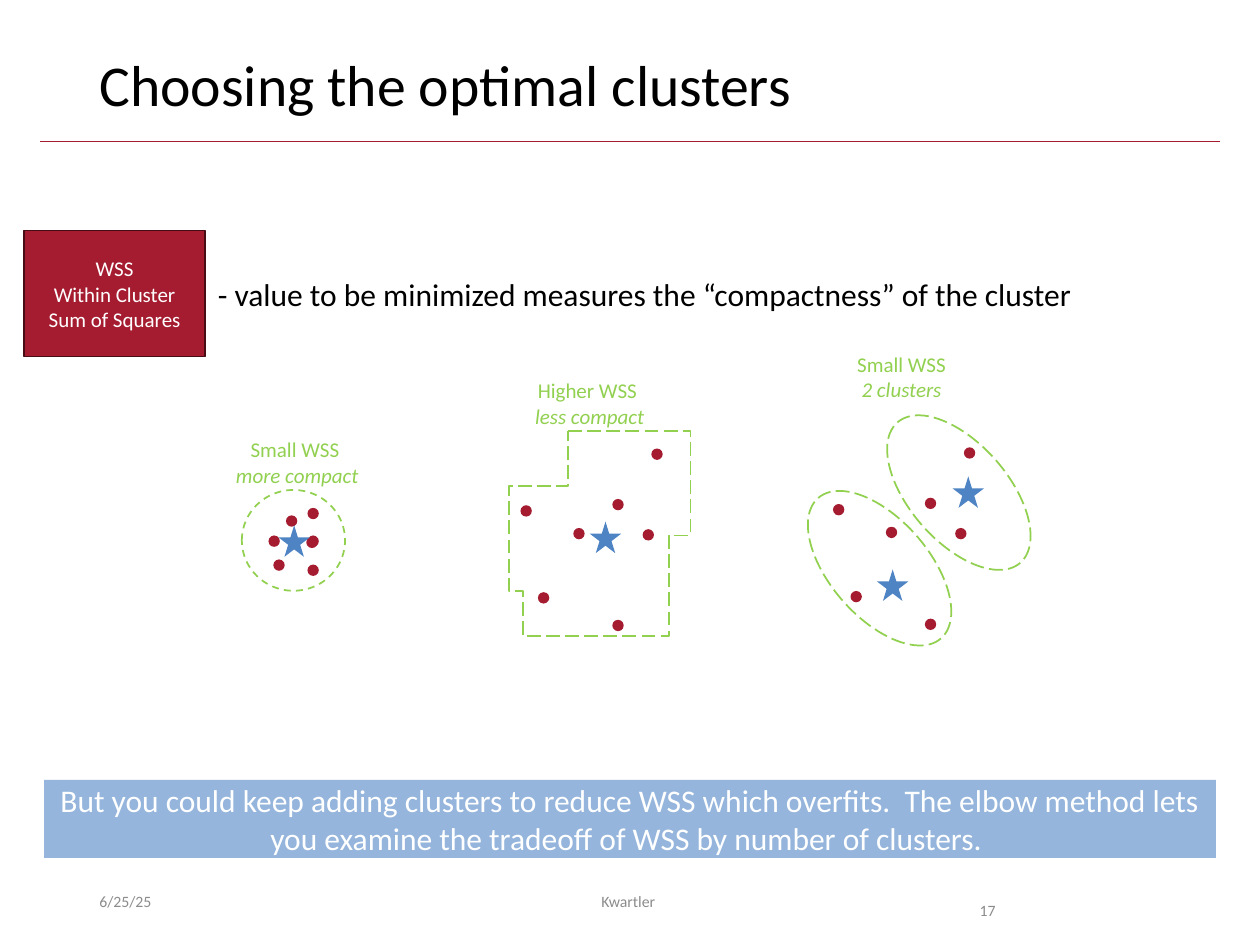
from pptx import Presentation
from pptx.dml.color import RGBColor
from pptx.enum.dml import MSO_LINE
from pptx.enum.shapes import MSO_CONNECTOR, MSO_SHAPE
from pptx.enum.text import MSO_ANCHOR, PP_ALIGN
from pptx.oxml.ns import qn
from pptx.util import Pt
from lxml.etree import SubElement

CRIMSON, BLUE, GREEN = "A51C30", "4E84C4", "92D050"
WHITE, BLACK, GRAY = "FFFFFF", "000000", "8C8C8C"
DOT, STAR = 6.5, 18

TIGHT_DOTS = [(163.4, 294.5), (175, 306.7), (156.2, 319.7), (175.7, 290.2),
              (153.4, 306), (175.7, 322.6), (175.7, 306)]
LOOSE_DOTS = [(297.4, 288.7), (367.2, 302.4), (307.4, 338.4), (349.9, 285.1),
              (327.6, 301.7), (349.9, 354.2), (372.2, 256.3)]
SPLIT_DOTS = [(x + 178.6, y - 0.7) for x, y in LOOSE_DOTS]
CENTERS = [(159.1, 300.2), (337, 298.1), (544.3, 272.2), (501.1, 325.4)]
LOOSE_OUTLINE = [(324.7, 246.2), (394.6, 246.2), (394.6, 306), (382.3, 306),
                 (382.3, 363.6), (298.8, 363.6), (298.8, 337.7),
                 (290.9, 337.7), (290.9, 277.9), (324.7, 277.9)]


def rgb(color):
    return RGBColor.from_string(color)


def write(sp, text, size=12, color=BLACK, align=PP_ALIGN.LEFT,
          anchor=MSO_ANCHOR.TOP, wrap=True, spacing=None, italic_last=False):
    tf = sp.text_frame
    tf.word_wrap = wrap
    tf.vertical_anchor = anchor
    lines = text.split("\n")
    for i, line in enumerate(lines):
        p = tf.add_paragraph() if i else tf.paragraphs[0]
        p.alignment = align
        p.line_spacing = spacing
        r = p.add_run()
        r.text = line
        r.font.name = "Calibri"
        r.font.size = Pt(size)
        r.font.color.rgb = rgb(color)
        if italic_last and i == len(lines) - 1:
            r.font.italic = True


def style(sp, fill=None, line=None, dash=None):
    sp.shadow.inherit = False
    if fill:
        sp.fill.solid()
        sp.fill.fore_color.rgb = rgb(fill)
    else:
        sp.fill.background()
    if line:
        sp.line.color.rgb = rgb(line)
        sp.line.width = Pt(1)
        sp.line.dash_style = dash
    else:
        sp.line.fill.background()


def add_text(s, x, y, w, h, text, **fmt):
    write(s.shapes.add_textbox(Pt(x), Pt(y), Pt(w), Pt(h)), text, **fmt)


def add_shape(s, kind, x, y, w, h, rotation=0, **look):
    sp = s.shapes.add_shape(kind, Pt(x), Pt(y), Pt(w), Pt(h))
    sp.rotation = rotation
    style(sp, **look)
    return sp


def add_box(s, x, y, w, h, text, size, **look):
    sp = add_shape(s, MSO_SHAPE.RECTANGLE, x, y, w, h, **look)
    write(sp, text, size=size, color=WHITE, align=PP_ALIGN.CENTER,
          anchor=MSO_ANCHOR.MIDDLE)


def add_rule(s, x1, x2, y):
    cn = s.shapes.add_connector(MSO_CONNECTOR.STRAIGHT, Pt(x1), Pt(y), Pt(x2), Pt(y))
    cn.line.color.rgb = rgb(CRIMSON)
    cn.line.width = Pt(0.5)
    SubElement(cn.element.spPr, qn("a:effectLst"))


def add_outline(s, points):
    emu = [(Pt(x), Pt(y)) for x, y in points]
    fb = s.shapes.build_freeform(*emu[0])
    fb.add_line_segments(emu[1:], close=True)
    style(fb.convert_to_shape(), line=GREEN, dash=MSO_LINE.LONG_DASH)


def add_clusters(s):
    for x, y in TIGHT_DOTS + LOOSE_DOTS + SPLIT_DOTS:
        add_shape(s, MSO_SHAPE.OVAL, x, y, DOT, DOT, fill=CRIMSON)
    for x, y in CENTERS:
        add_shape(s, MSO_SHAPE.STAR_5_POINT, x, y, STAR, STAR, fill=BLUE)
    add_shape(s, MSO_SHAPE.OVAL, 138.2, 280, 59, 57.6,
              line=GREEN, dash=MSO_LINE.DASH)
    add_outline(s, LOOSE_OUTLINE)
    for x, y in [(449.3, 296.6), (494.6, 253.4)]:
        add_shape(s, MSO_SHAPE.OVAL, x, y, 106.6, 56.2, rotation=48.8,
                  line=GREEN, dash=MSO_LINE.LONG_DASH)
    for x, y, w, text in [(126.7, 246.2, 86.4, "Small WSS \nmore compact"),
                          (298.1, 212.4, 77.8, "Higher WSS \nless compact"),
                          (482.4, 197.3, 65.5, "Small WSS\n2 clusters")]:
        add_text(s, x, y, w, 36, text, color=GREEN, align=PP_ALIGN.CENTER,
                 wrap=False, italic_last=True)


def add_footer(s):
    for x, w, text, align, spacing in [
            (49.7, 162, "6/25/25", PP_ALIGN.LEFT, None),
            (238.3, 243.4, "Kwartler ", PP_ALIGN.CENTER, None),
            (508.3, 67.7, "17", PP_ALIGN.RIGHT, 2.0)]:
        add_text(s, x, 500.4, w, 28.8, text, size=9, color=GRAY, align=align,
                 anchor=MSO_ANCHOR.MIDDLE, spacing=spacing)


def main():
    prs = Presentation()
    prs.slide_width, prs.slide_height = Pt(720), Pt(540)
    s = prs.slides.add_slide(prs.slide_layouts[6])
    add_rule(s, 23, 697, 80.6)
    add_text(s, 49.7, 28.8, 620.6, 46.8, "Choosing the optimal clusters",
             size=33, spacing=0.9)
    add_text(s, 117.4, 153.4, 527, 28.8,
             "- value to be minimized measures the “compactness” of the cluster",
             size=18, wrap=False)
    add_box(s, 13.7, 131.8, 103.7, 72, "WSS\nWithin Cluster Sum of Squares", 12,
            fill=CRIMSON, line="480C15")
    add_clusters(s)
    add_box(s, 25.2, 445.7, 669.6, 44.6,
            "But you could keep adding clusters to reduce WSS which overfits.  "
            "The elbow method lets you examine the tradeoff of WSS by number of "
            "clusters. ", 18, fill="95B5DC")
    add_footer(s)
    prs.save("out.pptx")


if __name__ == "__main__":
    main()
